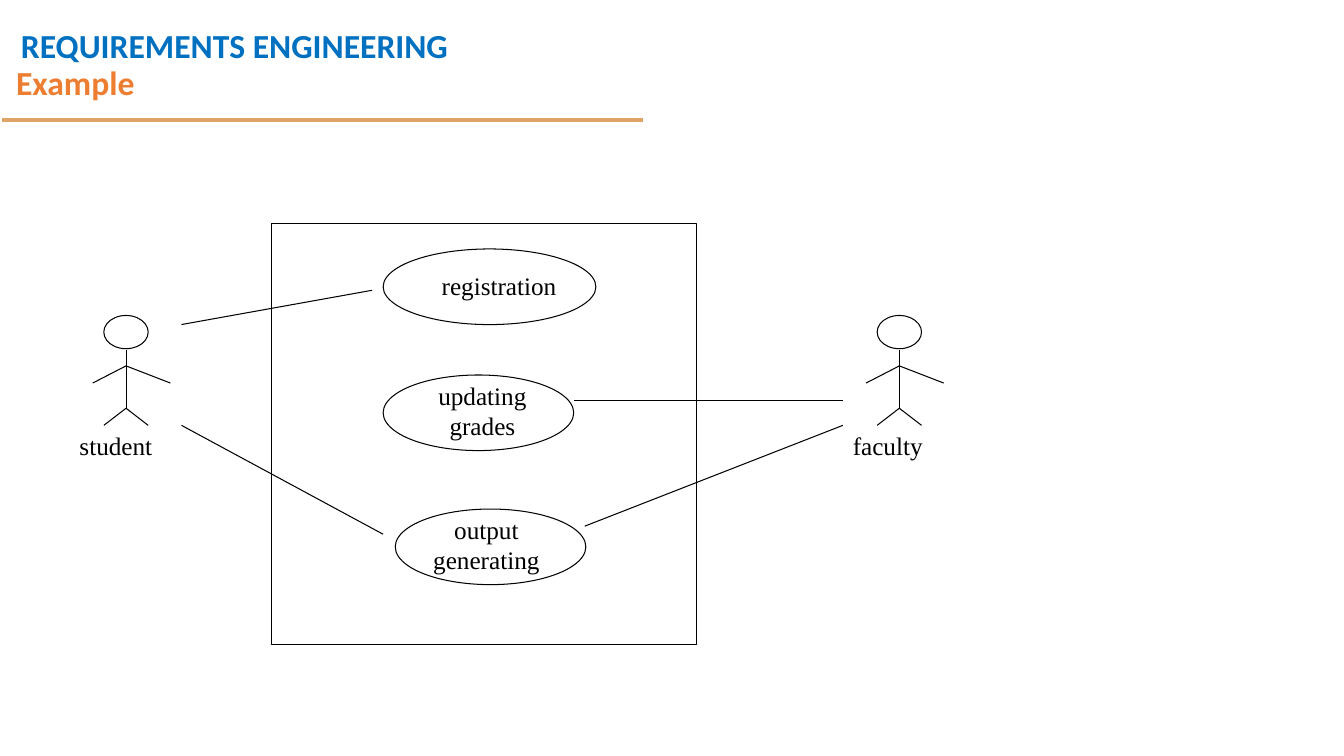
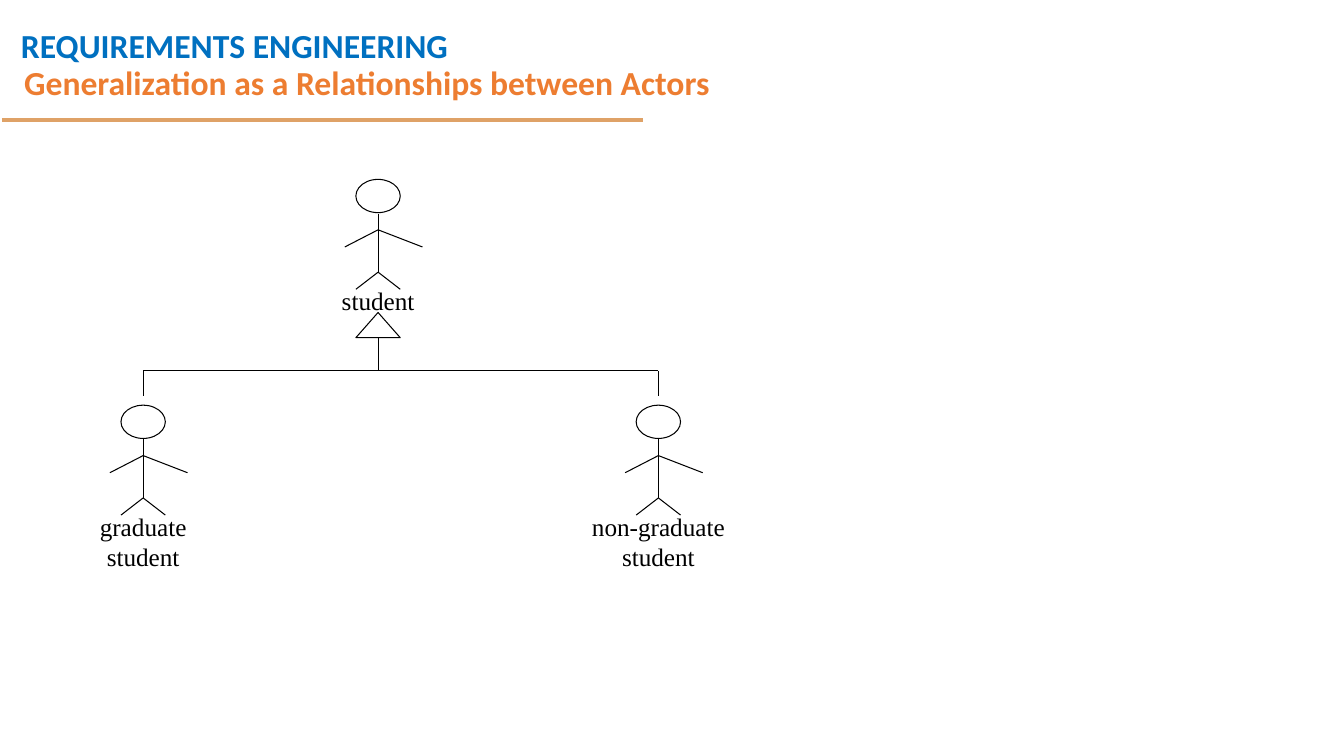
"""Build two slides of use case diagrams."""
from dataclasses import dataclass

from lxml import etree
from pptx import Presentation
from pptx import util as u
from pptx.dml.color import RGBColor
from pptx.enum import shapes, text
from pptx.oxml import ns


@dataclass(frozen=True)
class Theme:
    """Colours, fonts and sizes that the slides share."""
    course: str = "0070C0"
    title: str = "ED7D31"
    rule: str = "DFA267"
    ink: str = "000000"
    heading_font: str = "Calibri"
    label_font: str = "Times New Roman"
    heading_size: float = 24
    label_size: float = 18
    thin: float = 0.75
    thick: float = 3


THEME = Theme()
LEFT, CENTER = text.PP_ALIGN.LEFT, text.PP_ALIGN.CENTER


def write_text(frame, content, *, size=THEME.label_size, font=THEME.label_font,
               color=THEME.ink, bold=False, align=CENTER, spacing=None):
    """Fill a text frame with one formatted paragraph per line of content."""
    frame.word_wrap = True
    for index, line in enumerate(content.split("\n")):
        paragraph = frame.add_paragraph() if index else frame.paragraphs[0]
        paragraph.alignment = align
        paragraph.line_spacing = spacing
        run = paragraph.add_run()
        run.text = line
        run.font.size = u.Pt(size)
        run.font.name = font
        run.font.bold = bold
        run.font.color.rgb = RGBColor.from_string(color)


def write_heading(frame, content, color, spacing):
    """Write a line in the heading style."""
    write_text(frame, content, size=THEME.heading_size, font=THEME.heading_font,
               color=color, bold=True, align=LEFT, spacing=spacing)


def add_label(parent, content, left, top, width, **style):
    """Add a text box as high as its lines and return it."""
    height = 0.1 + 0.3 * len(content.split("\n"))
    box = parent.shapes.add_textbox(*map(u.Inches, (left, top, width, height)))
    write_text(box.text_frame, content, **style)
    return box


def add_line(parent, start, end, color=THEME.ink, width=THEME.thin):
    """Add a straight line without a shadow and return it."""
    line = parent.shapes.add_connector(
        shapes.MSO_CONNECTOR.STRAIGHT, *map(u.Inches, (*start, *end)))
    line.line.color.rgb = RGBColor.from_string(color)
    line.line.width = u.Pt(width)
    etree.SubElement(line.element.spPr, ns.qn("a:effectLst"))
    return line


def add_outline(parent, kind, left, top, width, height):
    """Add an unfilled shape with a thin outline."""
    shape = parent.shapes.add_shape(kind, *map(u.Inches, (left, top, width, height)))
    shape.shadow.inherit = False
    shape.fill.background()
    shape.line.color.rgb = RGBColor.from_string(THEME.ink)
    shape.line.width = u.Pt(THEME.thin)


def add_actor(slide, center, top):
    """Add a grouped stick figure with its spine at center."""
    figure = slide.shapes.add_group_shape()
    add_outline(figure, shapes.MSO_SHAPE.OVAL, center - 0.22, top, 0.44, 0.33)
    neck, shoulder, hip = top + 0.34, top + 0.5, top + 0.92
    add_line(figure, (center, neck), (center, hip))
    for joint, reach in ((shoulder, 0.44), (shoulder, -0.33), (hip, 0.22), (hip, -0.22)):
        add_line(figure, (center, joint), (center + reach, joint + 0.17))


def add_use_case(slide, content, oval, label):
    """Add an oval and its label, given as left, top, width."""
    add_outline(slide, shapes.MSO_SHAPE.OVAL, *oval, 0.75)
    add_label(slide, content, *label)


def add_slide(presentation, title, left, top, width, height):
    """Add a slide with its title placeholder moved and formatted."""
    slide = presentation.slides.add_slide(presentation.slide_layouts[5])
    shape = slide.shapes.title
    shape.left, shape.top, shape.width, shape.height = map(
        u.Inches, (left, top, width, height))
    frame = shape.text_frame
    frame.auto_size = text.MSO_AUTO_SIZE.NONE
    frame.vertical_anchor = text.MSO_ANCHOR.MIDDLE
    write_heading(frame, title, THEME.title, 0.9)
    return slide


def add_header_to_layout(slide):
    """Draw the course name and rule, then move them to the layout."""
    box = slide.shapes.add_textbox(*map(u.Inches, (0.11, 0, 4.61, 0.64)))
    write_heading(box.text_frame, "REQUIREMENTS ENGINEERING", THEME.course, 1.5)
    rule = add_line(slide, (0.02, 1.19), (6.38, 1.19), THEME.rule, THEME.thick)
    for shape in (box, rule):
        slide.slide_layout.shapes.element.append(shape.element)


def build_example(presentation):
    """Build the use case diagram."""
    slide = add_slide(presentation, "Example", 0.06, 0.4, 7.8, 0.88)
    add_header_to_layout(slide)
    add_outline(slide, shapes.MSO_SHAPE.RECTANGLE, 2.69, 2.22, 4.22, 4.17)
    for name, center in (("student", 1.25), ("faculty", 8.92)):
        add_actor(slide, center, 3.13)
        add_label(slide, name, center - 0.56, 4.22, 1.44, align=LEFT)
    add_use_case(slide, "registration", (3.8, 2.47, 2.11), (3.98, 2.63, 1.94))
    add_use_case(slide, "updating\ngrades", (3.8, 3.72, 1.89), (3.92, 3.72, 1.73))
    add_use_case(slide, "output\ngenerating", (3.92, 5.05, 1.89), (3.96, 5.05, 1.73))
    for start, end in (((1.8, 3.22), (3.69, 2.88)), ((1.8, 4.22), (3.8, 5.3)),
                       ((8.36, 3.97), (5.69, 3.97)), ((8.36, 4.22), (5.8, 5.22))):
        add_line(slide, start, end)


def build_generalization(presentation):
    """Build the actor hierarchy."""
    slide = add_slide(presentation, "Generalization as a Relationships between Actors",
                      0.14, 0.53, 11.5, 0.61)
    parent, graduate, non_graduate = 3.75, 1.42, 6.53
    branch = 3.68
    for name, center, top in (("student", parent, 1.78),
                              ("graduate\nstudent", graduate, 4.02),
                              ("non-graduate\nstudent", non_graduate, 4.02)):
        add_actor(slide, center, top)
        add_label(slide, name, center - 1.11, top + 1, 2.22)
    add_outline(slide, shapes.MSO_SHAPE.ISOSCELES_TRIANGLE, parent - 0.22, 3.1, 0.44, 0.25)
    add_line(slide, (parent, 3.35), (parent, branch))
    add_line(slide, (graduate, branch), (non_graduate, branch))
    for child in (graduate, non_graduate):
        add_line(slide, (child, branch), (child, 3.93))


def main():
    """Create and save the presentation."""
    presentation = Presentation()
    presentation.slide_width = u.Inches(13.33)
    presentation.slide_height = u.Inches(7.5)
    build_example(presentation)
    build_generalization(presentation)
    presentation.save("out.pptx")


if __name__ == "__main__":
    main()
